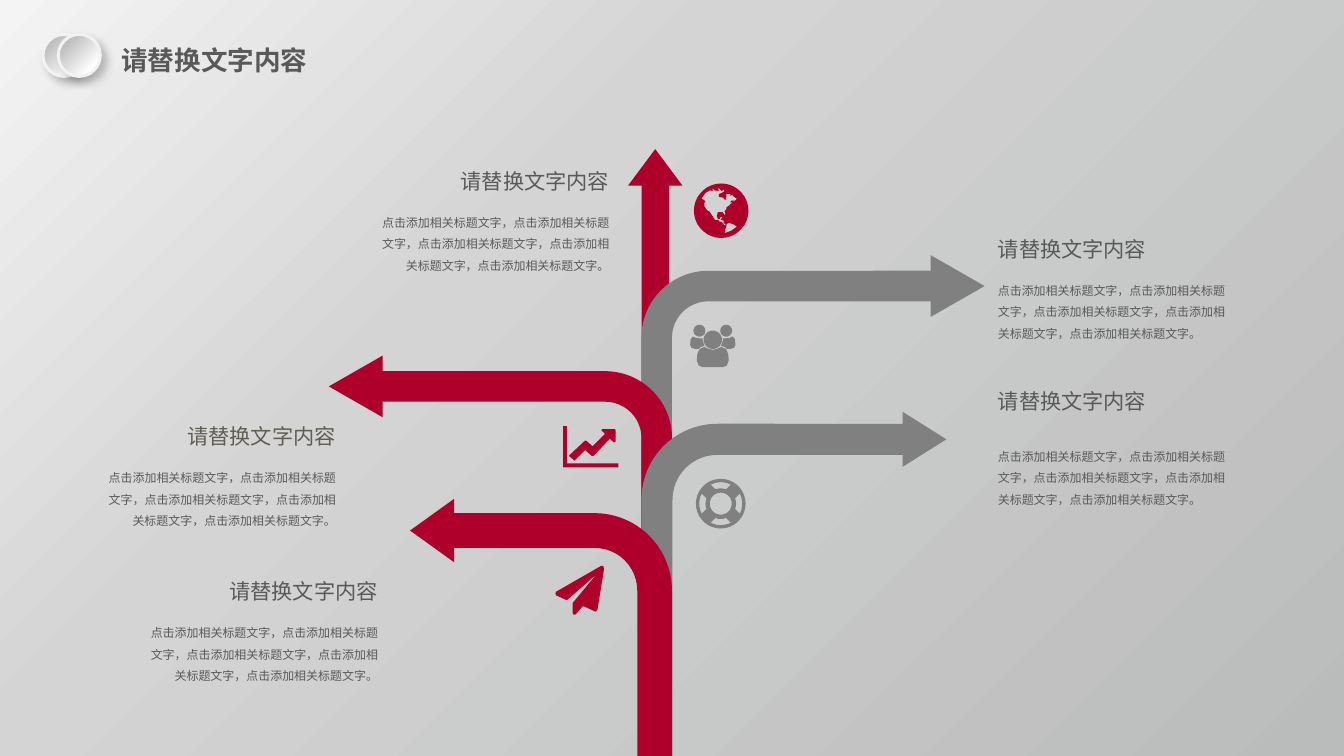
from dataclasses import dataclass
from math import cos, radians, sin

from lxml.etree import SubElement
from pptx import Presentation
from pptx.dml.color import RGBColor
from pptx.enum.shapes import MSO_SHAPE as Preset
from pptx.enum.text import MSO_ANCHOR as Anchor, MSO_AUTO_SIZE as AutoSize, PP_ALIGN as Align
from pptx.oxml.ns import qn
from pptx.util import Inches, Pt


@dataclass(frozen=True)
class Theme:
    red: str = "AE002B"
    gray: str = "808080"
    text: str = "595959"
    warm_text: str = "605E54"
    rim: str = "F2F2F2"
    backdrop: tuple = ((0, "F4F4F4"), (35, "D4D4D4"), (100, "BABBBB"))
    disc: tuple = ((20, "BFBFBF"), (80, "FFFFFF"), (100, "FFFFFF"))
    latin: str = "Calibri"
    cjk: str = "Noto Sans CJK SC"
    title_size: int = 20
    heading_size: int = 16
    detail_size: int = 9


THEME = Theme()
WIDTH, HEIGHT = 14.06, 7.91

# Content
HEADING = "请替换文字内容"
DETAIL = "，".join(["点击添加相关标题文字"] * 5) + "。"

# Branches: left, width, height, adjustments, colour, points left; all grow from the bottom edge
BRANCHES = [
    (Preset.UP_ARROW, 6.57, 0.57, 6.35, (0.5, 0.671), THEME.red, False),
    (Preset.BENT_ARROW, 6.71, 3.59, 5.24, (0.089, 0.09, 0.157, 0.195), THEME.gray, False),
    (Preset.BENT_ARROW, 3.44, 3.59, 4.19, (0.089, 0.09, 0.157, 0.195), THEME.red, True),
    (Preset.BENT_ARROW, 6.71, 3.19, 3.60, (0.102, 0.09, 0.143, 0.249), THEME.gray, False),
    (Preset.BENT_ARROW, 4.29, 2.74, 2.69, (0.135, 0.123, 0.171, 0.301), THEME.red, True),
]

# Captions: left, top, width, height, alignment, heading colour, gap in points
CAPTIONS = [
    (1.40, 5.99, 2.65, 1.18, Align.RIGHT, THEME.text, 11),
    (1.00, 4.37, 2.61, 1.35, Align.RIGHT, THEME.warm_text, 11),
    (10.34, 4.00, 2.61, 1.51, Align.LEFT, THEME.text, 21.5),
    (3.86, 1.70, 2.61, 1.35, Align.RIGHT, THEME.text, 11),
    (10.34, 2.41, 2.61, 1.35, Align.LEFT, THEME.text, 11),
]


# Icon outlines on a grid of hundredths of an inch
def arc(cx, cy, radius, start=0, end=360, step=10):
    count = max(2, round(abs(end - start) / step))
    angles = [radians(start + (end - start) * i / count) for i in range(count + 1)]
    return [(cx + radius * cos(a), cy + radius * sin(a)) for a in angles]


def mirror(outline, axis):
    return [(2 * axis - x, y) for x, y in outline]


PLANE = [[(632, 595), (625, 638), (623, 640), (610, 634), (602, 643), (600, 643), (599, 641),
          (599, 631), (624, 601), (593, 628), (582, 623), (581, 621), (582, 619), (629, 592),
          (631, 592)]]

AMERICAS = [
    (764, 212), (765, 210), (769, 210), (771, 208), (768, 206), (766, 204), (764, 205),
    (764, 203), (760, 203), (760, 206), (759, 207), (760, 209), (758, 209), (757, 207),
    (752, 206), (752, 203), (755, 202), (758, 200), (757, 198), (755, 200), (752, 197),
    (751, 197), (752, 199), (751, 200), (747, 199), (747, 198), (743, 199), (746, 199),
    (745, 200), (743, 199), (738, 202), (734, 208), (736, 209), (738, 211), (737, 212),
    (737, 216), (739, 219), (741, 221), (743, 225), (741, 221), (742, 221), (744, 224),
    (746, 227), (748, 230), (751, 230), (753, 232), (755, 232), (757, 235), (759, 236),
    (759, 234), (757, 234), (757, 231), (755, 230), (754, 230), (756, 227), (754, 227),
    (753, 229), (751, 229), (750, 226), (751, 222), (756, 222), (758, 225), (759, 224),
    (758, 221), (760, 219), (760, 217), (763, 215), (765, 213), (766, 211)]
SOUTH = [
    (771, 237), (769, 236), (768, 235), (765, 234), (763, 233), (761, 234), (760, 235),
    (760, 237), (758, 241), (759, 241), (758, 244), (765, 241.5)]
GLOBE = [arc(754.5, 220.5, 28.5), AMERICAS, SOUTH]

CHART = [
    [(647, 489), (589, 489), (589, 446), (593, 446), (593, 485), (647, 485)],
    [(644, 462), (642, 463), (638, 459), (621, 477), (619, 477), (612, 471), (601, 482),
     (595, 477), (612, 461), (613, 461), (620, 467), (633, 454), (629, 450), (630, 449),
     (643, 449), (644, 450)]]

HUB = (754, 527)
BUOY = [arc(*HUB, 26), arc(*HUB, 11.5)] + [
    arc(*HUB, 22.5, side - 28, side + 28) + arc(*HUB, 16, side + 20, side - 20)
    for side in range(0, 360, 90)]

TEAM_AXIS = 745.7
SHOULDER = [(731, 365), (727, 365), (723.5, 364), (722, 361), (722.5, 355), (725, 352),
            (728, 353.5), (732, 354), (735, 354), (735, 356), (737, 362), (733, 363)]
SIDE_HEAD = arc(731.7, 346, 6.2)
HALF_TORSO = [(TEAM_AXIS, 366), (741, 365), (737, 363), (732, 365), (729.6, 370), (729, 377),
              (731, 382.5), (735, 384)]
TEAM = [SHOULDER, mirror(SHOULDER, TEAM_AXIS), SIDE_HEAD, mirror(SIDE_HEAD, TEAM_AXIS),
        arc(TEAM_AXIS, 355.5, 9.6), HALF_TORSO + mirror(HALF_TORSO, TEAM_AXIS)[::-1]]

ICONS = [(PLANE, THEME.red), (GLOBE, THEME.red), (CHART, THEME.red),
         (BUOY, THEME.gray), (TEAM, THEME.gray)]


# Formatting helpers
def rgb(value):
    return RGBColor.from_string(value)


def paint(shape, color):
    shape.shadow.inherit = False
    shape.fill.solid()
    shape.fill.fore_color.rgb = rgb(color)
    shape.line.fill.background()


def paint_gradient(fill, stops):
    fill.gradient()
    fill.gradient_angle = 315
    stop_list = fill._fill._gradFill.find(qn("a:gsLst"))
    stop_list.clear()
    for position, color in stops:
        stop = SubElement(stop_list, qn("a:gs"), pos=str(position * 1000))
        SubElement(stop, qn("a:srgbClr"), val=color)


def write(paragraph, text, size, color, leading, align=Align.LEFT, latin=THEME.cjk, bold=False):
    paragraph.text = text
    paragraph.alignment = align
    paragraph.line_spacing = Pt(leading)
    font = paragraph.runs[0].font
    font.size, font.bold, font.name = Pt(size), bold, latin
    font.color.rgb = rgb(color)
    SubElement(font._element, qn("a:ea"), typeface=THEME.cjk)


def add_branch(slide, preset, left, width, height, adjustments, color, points_left):
    branch = slide.shapes.add_shape(
        preset, Inches(left), Inches(HEIGHT - height), Inches(width), Inches(height))
    for i, value in enumerate(adjustments):
        branch.adjustments[i] = value
    if points_left:
        branch._element.spPr.find(qn("a:xfrm")).set("flipH", "1")
    paint(branch, color)


def add_caption(slide, left, top, width, height, align, color, gap):
    caption = slide.shapes.add_textbox(Inches(left), Inches(top), Inches(width), Inches(height))
    frame = caption.text_frame
    frame.word_wrap = True
    write(frame.paragraphs[0], HEADING, THEME.heading_size, color, 20, align)
    detail = frame.add_paragraph()
    write(detail, DETAIL, THEME.detail_size, THEME.text, 16.2, align)
    detail.space_before = Pt(gap)


def add_icon(slide, outlines, color):
    fine = [[(x * 10, y * 10) for x, y in outline] for outline in outlines]
    builder = slide.shapes.build_freeform(*fine[0][0], scale=Inches(1) / 1000)
    builder.add_line_segments(fine[0][1:], close=True)
    for outline in fine[1:]:
        builder.move_to(*outline[0])
        builder.add_line_segments(outline[1:], close=True)
    paint(builder.convert_to_shape(), color)


def add_disc(slide, left):
    disc = slide.shapes.add_shape(
        Preset.OVAL, Inches(left), Inches(0.36), Inches(0.44), Inches(0.44))
    paint_gradient(disc.fill, THEME.disc)
    disc.line.color.rgb = rgb(THEME.rim)
    disc.line.width = Pt(2.25)
    effects = SubElement(disc._element.spPr, qn("a:effectLst"))
    shadow = SubElement(effects, qn("a:outerShdw"), blurRad=str(Pt(7)), dist=str(Pt(5.9)),
                        dir="2700000", algn="tl", rotWithShape="0")
    shade = SubElement(shadow, qn("a:srgbClr"), val="000000")
    SubElement(shade, qn("a:alpha"), val="23000")


def add_title(slide):
    title = slide.shapes.title
    title.left, title.top, title.width, title.height = map(Inches, (1.17, 0.4, 2.17, 0.44))
    frame = title.text_frame
    frame.word_wrap = False
    frame.auto_size = AutoSize.NONE
    frame.vertical_anchor = Anchor.TOP
    write(frame.paragraphs[0], HEADING, THEME.title_size, THEME.text, 25,
          latin=THEME.latin, bold=True)


def main():
    deck = Presentation()
    deck.slide_width, deck.slide_height = Inches(WIDTH), Inches(HEIGHT)
    slide = deck.slides.add_slide(deck.slide_layouts[5])
    paint_gradient(slide.background.fill, THEME.backdrop)
    add_title(slide)
    for branch in BRANCHES:
        add_branch(slide, *branch)
    for caption in CAPTIONS:
        add_caption(slide, *caption)
    for icon in ICONS:
        add_icon(slide, *icon)
    for left in (0.45, 0.61):
        add_disc(slide, left)
    deck.save("out.pptx")


if __name__ == "__main__":
    main()
